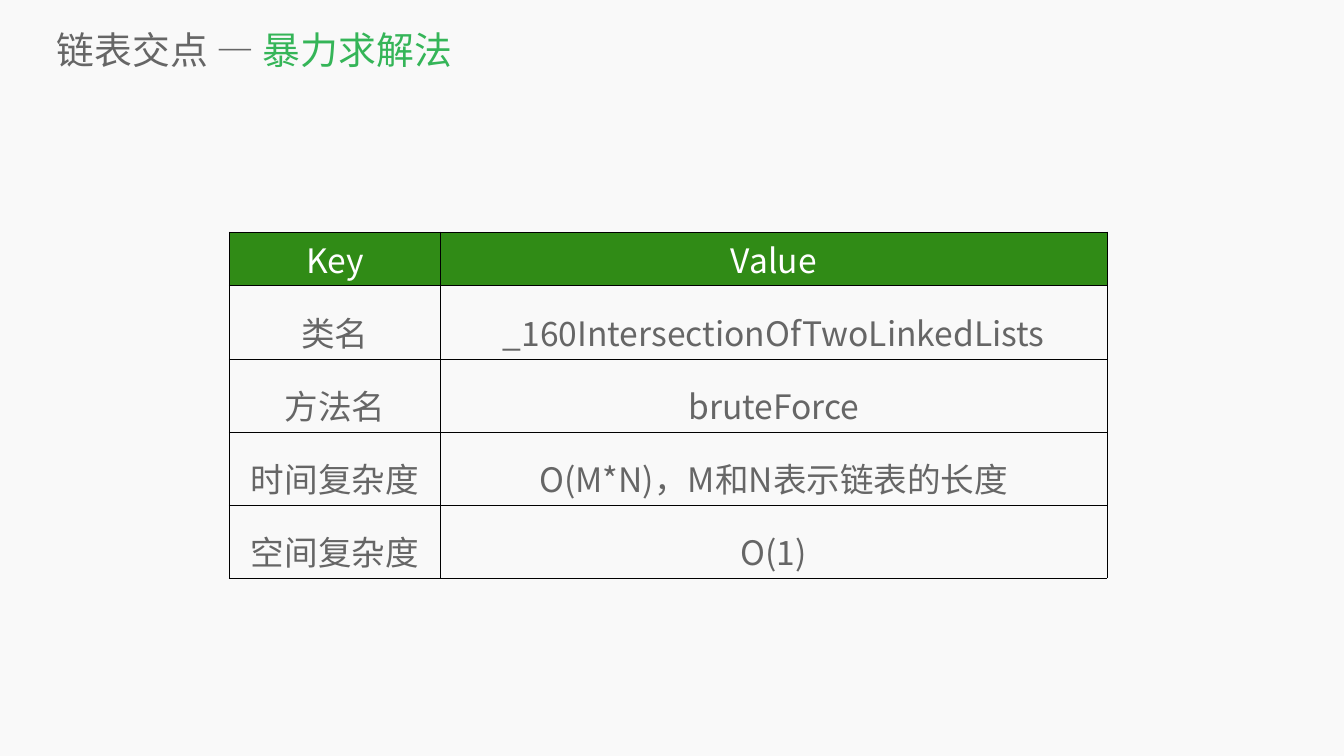
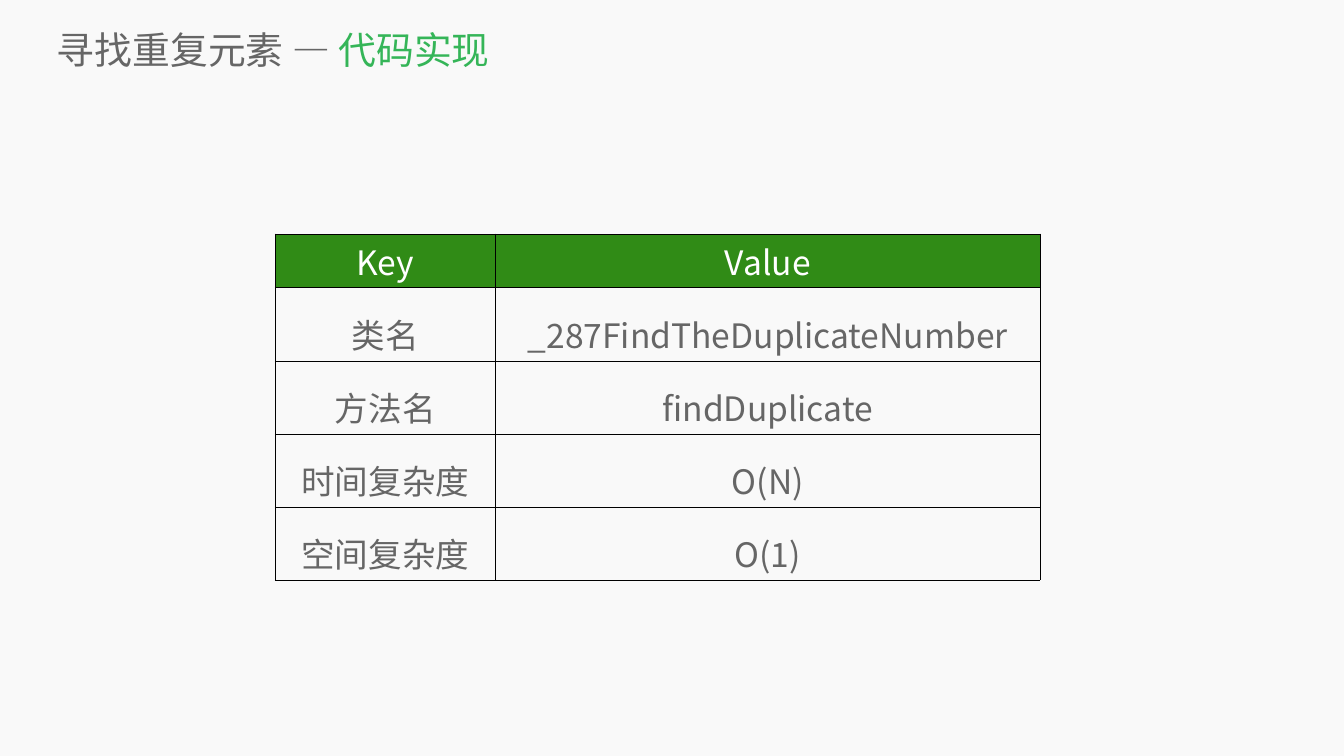
from pptx import Presentation
from pptx.dml.color import RGBColor
from pptx.enum import text
from pptx.oxml import ns, xmlchemy
from pptx.util import Inches, Pt

FONT = "Noto Sans CJK SC"
HUES = {
    "back": "F9F9F9",
    "gray": "666666",
    "green": "35B558",
    "head": "308B16",
    "white": "FFFFFF",
    "line": "000000",
}
KEYS = ["类名", "方法名", "时间复杂度", "空间复杂度"]


def hue(name):
    return RGBColor.from_string(HUES[name])


def add_run(para, words, size, color):
    run = para.add_run()
    run.text = words
    run.font.size = Pt(size)
    run.font.name = FONT
    run.font.color.rgb = hue(color)
    east = xmlchemy.OxmlElement("a:ea")
    east.set("typeface", FONT)
    run.font._element.find(ns.qn("a:latin")).addnext(east)


def add_page(deck, topic, part):
    page = deck.slides.add_slide(deck.slide_layouts[6])
    page.background.fill.solid()
    page.background.fill.fore_color.rgb = hue("back")
    box = page.shapes.add_textbox(Inches(1.13), Inches(0.47), Inches(25.16), Inches(1.02))
    frame = box.text_frame
    frame.word_wrap = True
    frame.vertical_anchor = text.MSO_ANCHOR.MIDDLE
    frame.margin_left = frame.margin_right = 0
    frame.margin_top = frame.margin_bottom = 0
    para = frame.paragraphs[0]
    add_run(para, topic + " — ", 54, "gray")
    add_run(para, part, 54, "green")
    return page


def add_edges(cell):
    props = cell._tc.get_or_add_tcPr()
    for spot, side in enumerate(("a:lnL", "a:lnR", "a:lnT", "a:lnB")):
        line = xmlchemy.OxmlElement(side)
        line.set("w", str(Pt(1)))
        fill = xmlchemy.OxmlElement("a:solidFill")
        color = xmlchemy.OxmlElement("a:srgbClr")
        color.set("val", HUES["line"])
        fill.append(color)
        line.append(fill)
        props.insert(spot, line)


def fill_cell(cell, words, head):
    if head:
        cell.fill.solid()
        cell.fill.fore_color.rgb = hue("head")
    else:
        cell.fill.background()
    add_edges(cell)
    para = cell.text_frame.paragraphs[0]
    para.alignment = text.PP_ALIGN.CENTER
    if not head:
        para.line_spacing = 1.4
    add_run(para, words, 48, "white" if head else "gray")


def add_grid(page, left, top, widths, values):
    rows = [("Key", "Value"), *zip(KEYS, values)]
    heights = [1.07] + [1.45] * len(KEYS)
    grid = page.shapes.add_table(
        len(rows), len(widths), Inches(left), Inches(top),
        Inches(sum(widths)), Inches(sum(heights)),
    ).table
    for col, width in zip(grid.columns, widths):
        col.width = Inches(width)
    for r, row in enumerate(rows):
        grid.rows[r].height = Inches(heights[r])
        for c, words in enumerate(row):
            fill_cell(grid.cell(r, c), words, r == 0)


def main():
    deck = Presentation()
    deck.slide_width = Inches(26.67)
    deck.slide_height = Inches(15)

    page = add_page(deck, "链表交点", "暴力求解法")
    add_grid(page, 4.55, 4.6, (4.19, 13.23), [
        "_160IntersectionOfTwoLinkedLists",
        "bruteForce",
        "O(M*N)，M和N表示链表的长度",
        "O(1)",
    ])

    page = add_page(deck, "寻找重复元素", "代码实现")
    add_grid(page, 5.46, 4.64, (4.37, 10.81), [
        "_287FindTheDuplicateNumber",
        "findDuplicate",
        "O(N)",
        "O(1)",
    ])

    deck.save("out.pptx")


if __name__ == "__main__":
    main()
